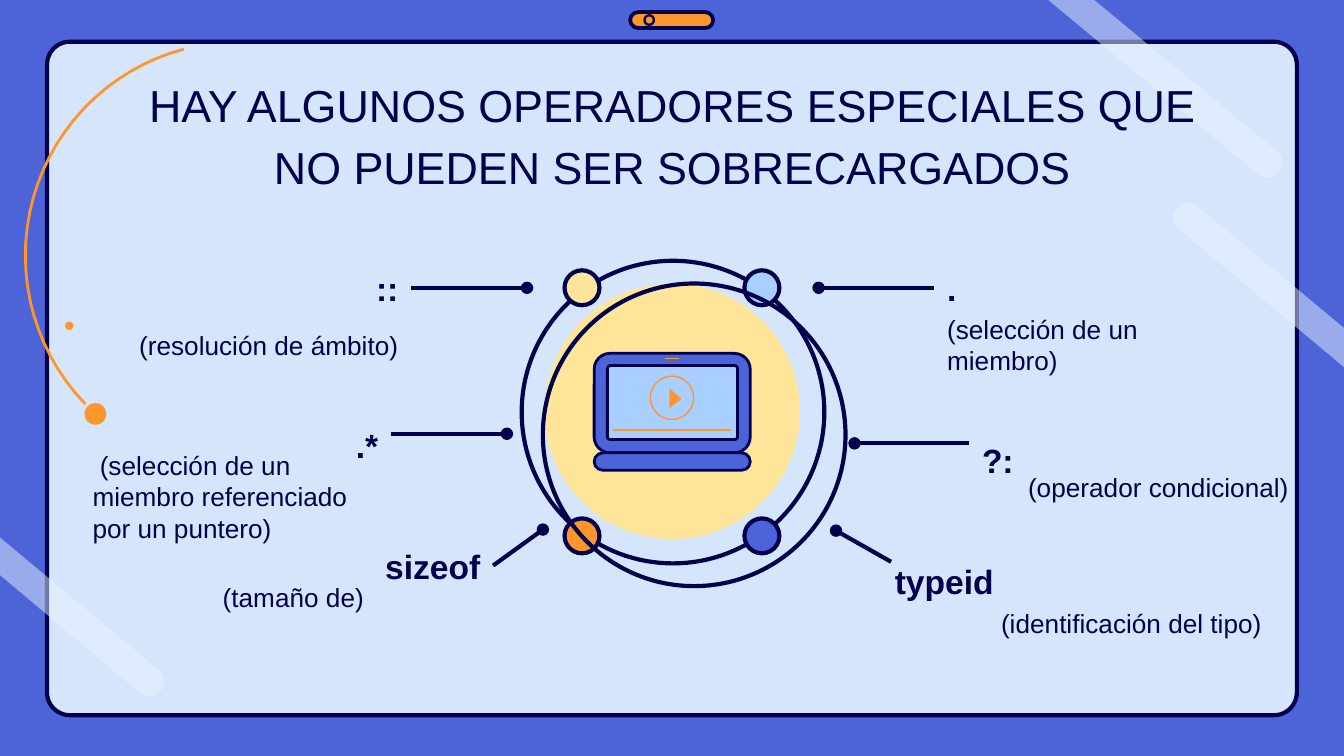
from math import cos, radians, sin

from lxml import etree
from pptx import Presentation
from pptx.dml.color import RGBColor
from pptx.enum.shapes import MSO_CONNECTOR, MSO_SHAPE
from pptx.enum.text import MSO_ANCHOR, PP_ALIGN
from pptx.oxml.ns import qn
from pptx.util import Cm, Pt

OVAL = MSO_SHAPE.OVAL
ROUNDED = MSO_SHAPE.ROUNDED_RECTANGLE
STRAIGHT = MSO_CONNECTOR.STRAIGHT
LEFT, CENTER, RIGHT = PP_ALIGN.LEFT, PP_ALIGN.CENTER, PP_ALIGN.RIGHT
TOP, MIDDLE = MSO_ANCHOR.TOP, MSO_ANCHOR.MIDDLE

NAVY = "00004D"
BLUE = "4C64D8"
SKY = "A8CFFF"
PALE = "D5E6FC"
MIST = "E9F3FF"
ORANGE = "FF952B"
YELLOW = "FFE599"


def color(hex_string):
    return RGBColor.from_string(hex_string)


def paint(shape, fill=None, line=None, weight=2.25, alpha=None):
    shape.shadow.inherit = False
    if fill:
        shape.fill.solid()
        shape.fill.fore_color.rgb = color(fill)
    else:
        shape.fill.background()
    if line:
        shape.line.color.rgb = color(line)
        shape.line.width = Pt(weight)
    else:
        shape.line.fill.background()
    if alpha:
        tint = shape._element.spPr.find(qn("a:solidFill")).find(qn("a:srgbClr"))
        etree.SubElement(tint, qn("a:alpha"), val=str(alpha * 1000))


def add_circle(page, left, top, size, **look):
    shape = page.shapes.add_shape(OVAL, Cm(left), Cm(top), Cm(size), Cm(size))
    paint(shape, **look)


def add_panel(page, left, top, width, height, corner, **look):
    shape = page.shapes.add_shape(ROUNDED, Cm(left), Cm(top), Cm(width), Cm(height))
    shape.adjustments[0] = corner
    paint(shape, **look)


def add_outline(page, points, closed=True, **look):
    corners = [(Cm(x), Cm(y)) for x, y in points]
    builder = page.shapes.build_freeform(*corners[0])
    builder.add_line_segments(corners[1:], close=closed)
    paint(builder.convert_to_shape(), **look)


def add_line(page, start, end, line=NAVY, weight=2.25, dot=False):
    connector = page.shapes.add_connector(
        STRAIGHT, Cm(start[0]), Cm(start[1]), Cm(end[0]), Cm(end[1]))
    connector.line.color.rgb = color(line)
    connector.line.width = Pt(weight)
    properties = connector._element.spPr
    if dot:
        etree.SubElement(properties.find(qn("a:ln")), qn("a:tailEnd"), type="oval")
    etree.SubElement(properties, qn("a:effectLst"))


def add_text(page, text, left, top, width, height, size, align=LEFT,
             bold=False, anchor=MIDDLE, spacing=None):
    box = page.shapes.add_textbox(Cm(left), Cm(top), Cm(width), Cm(height))
    frame = box.text_frame
    frame.word_wrap = True
    frame.vertical_anchor = anchor
    frame.margin_left = frame.margin_right = Cm(0.25)
    frame.margin_top = frame.margin_bottom = Cm(0.25)
    para = frame.paragraphs[0]
    para.alignment = align
    if spacing:
        para.line_spacing = spacing
    span = para.add_run()
    span.text = text
    span.font.name = "Arial"
    span.font.size = Pt(size)
    span.font.bold = bold
    span.font.color.rgb = color(NAVY)


def arc_points(center, radius, first, last, steps=30):
    angles = [radians(first + (last - first) * i / steps) for i in range(steps + 1)]
    return [(center[0] + radius * cos(a), center[1] + radius * sin(a)) for a in angles]


def add_stripe(page, start, cap, angle, end):
    points = [start, *arc_points(cap, 0.28, angle, angle - 180), end]
    add_outline(page, points, fill=MIST, alpha=50)


def add_backdrop(page):
    page.background.fill.solid()
    page.background.fill.fore_color.rgb = color(BLUE)
    add_panel(page, 0.89, 0.79, 23.62, 12.73, 0.034, fill=PALE, line=NAVY)
    add_panel(page, 11.91, 0.23, 1.57, 0.3, 0.5, fill=ORANGE, line=NAVY, weight=2)
    add_circle(page, 12.18, 0.29, 0.18, line=NAVY, weight=1.25)

    orbit = arc_points((4.52, 4.83), 4.04, 136, 255)
    add_outline(page, orbit, closed=False, line=ORANGE, weight=1.5)
    add_circle(page, 1.23, 6.08, 0.16, fill=ORANGE)
    add_circle(page, 1.6, 7.62, 0.41, fill=ORANGE)

    add_stripe(page, (19.81, 0), (23.95, 3.07), 130, (20.68, 0))
    add_stripe(page, (0, 10.87), (2.82, 12.88), 130, (0, 10.16))
    add_stripe(page, (25.4, 6.2), (22.45, 4.11), -50, (25.4, 6.94))


def add_laptop(page):
    add_panel(page, 11.23, 6.68, 2.95, 1.88, 0.16, fill=BLUE, line=NAVY, weight=1.5)
    add_panel(page, 11.48, 6.91, 2.46, 1.4, 0.04, fill=SKY, line=NAVY, weight=1.5)
    add_circle(page, 12.29, 7.11, 0.82, line=ORANGE, weight=0.75)
    add_outline(page, [(12.65, 7.34), (12.65, 7.72), (12.88, 7.54)], fill=ORANGE)
    add_line(page, (11.58, 8.13), (13.82, 8.13), line=ORANGE, weight=0.75)
    add_line(page, (12.57, 6.78), (12.83, 6.78), line=ORANGE, weight=0.25)
    add_panel(page, 11.23, 8.56, 2.95, 0.33, 0.5, fill=BLUE, line=NAVY, weight=1.5)


def add_hub(page):
    add_circle(page, 10.29, 5.36, 4.83, fill=YELLOW)
    add_circle(page, 9.86, 4.93, 5.72, line=NAVY)
    add_laptop(page)
    nodes = [(10.67, 5.11, YELLOW), (14.07, 5.11, SKY),
             (10.67, 9.8, ORANGE), (14.07, 9.8, BLUE)]
    for left, top, fill in nodes:
        add_circle(page, left, top, 0.66, fill=fill, line=NAVY)
    add_circle(page, 10.26, 5.36, 5.72, line=NAVY)


def add_operators(page):
    operators = [
        (".", LEFT, (17.65, 4.95), "(selección de un miembro)", LEFT, (17.65, 5.69),
         (17.65, 5.44), (15.47, 5.44)),
        ("::", RIGHT, (2.01, 4.95), "(resolución de ámbito)", RIGHT, (2.01, 5.69),
         (7.77, 5.44), (9.96, 5.44)),
        ("?:", LEFT, (18.31, 8.2), "(operador condicional)", LEFT, (19.18, 8.38),
         (18.31, 8.38), (16.15, 8.38)),
        (".*", RIGHT, (1.63, 7.92),
         " (selección de un miembro referenciado por un puntero)", LEFT, (1.5, 8.56),
         (7.39, 8.2), (9.58, 8.2)),
        ("sizeof", RIGHT, (3.56, 10.21), "(tamaño de)", LEFT, (3.96, 10.46),
         (9.32, 10.69), (10.26, 10.01)),
        ("typeid", RIGHT, (13.26, 10.49), "(identificación del tipo)", LEFT, (18.67, 10.95),
         (16.84, 10.62), (15.8, 10.03)),
    ]
    for symbol, side, place, meaning, meaning_side, meaning_place, start, end in operators:
        add_text(page, meaning, *meaning_place, 5.77, 1.65, 14, meaning_side)
        add_text(page, symbol, *place, 5.77, 0.99, 18, side, bold=True)
        add_line(page, start, end, dot=True)


def main():
    deck = Presentation()
    deck.slide_width = Cm(25.4)
    deck.slide_height = Cm(14.29)
    page = deck.slides.add_slide(deck.slide_layouts[6])
    add_backdrop(page)
    add_text(page, "HAY ALGUNOS OPERADORES ESPECIALES QUE NO PUEDEN SER SOBRECARGADOS",
             2.01, 1.07, 21.39, 1.6, 24, CENTER, anchor=TOP, spacing=1.15)
    add_hub(page)
    add_operators(page)
    deck.save("out.pptx")


if __name__ == "__main__":
    main()
